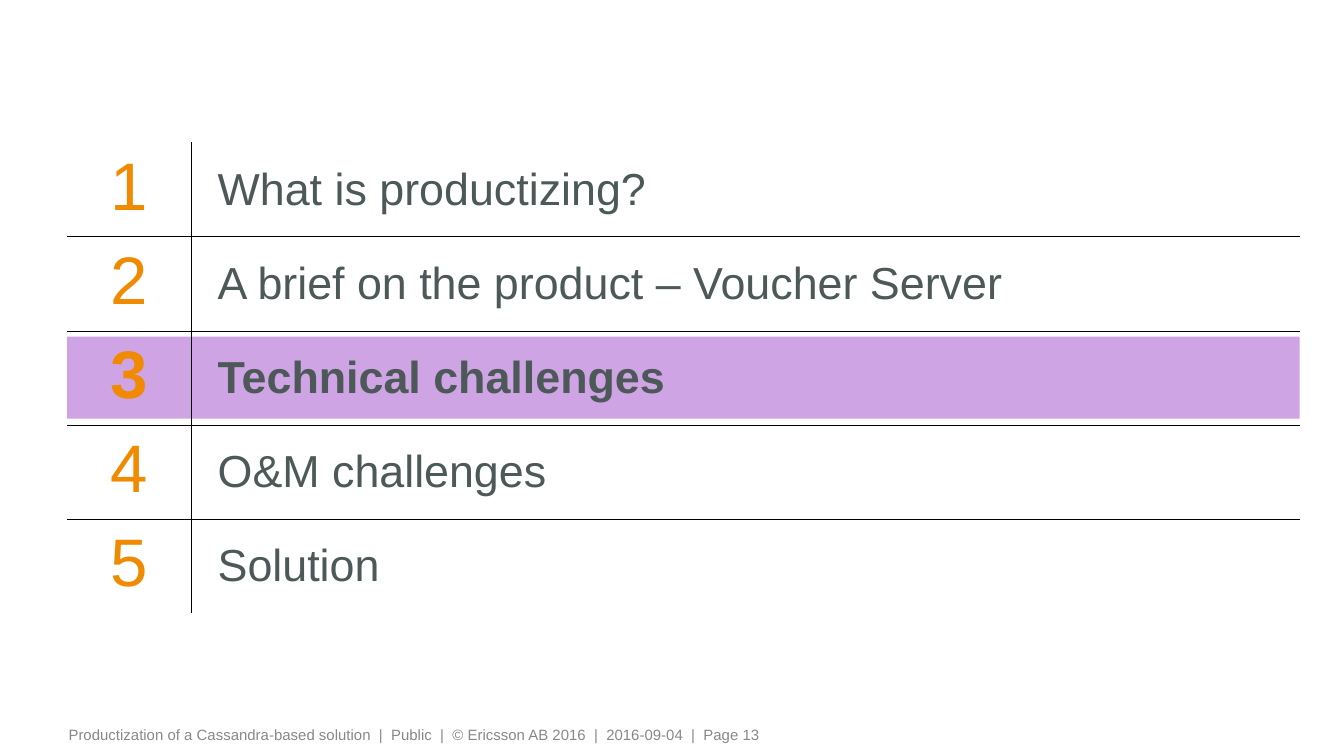
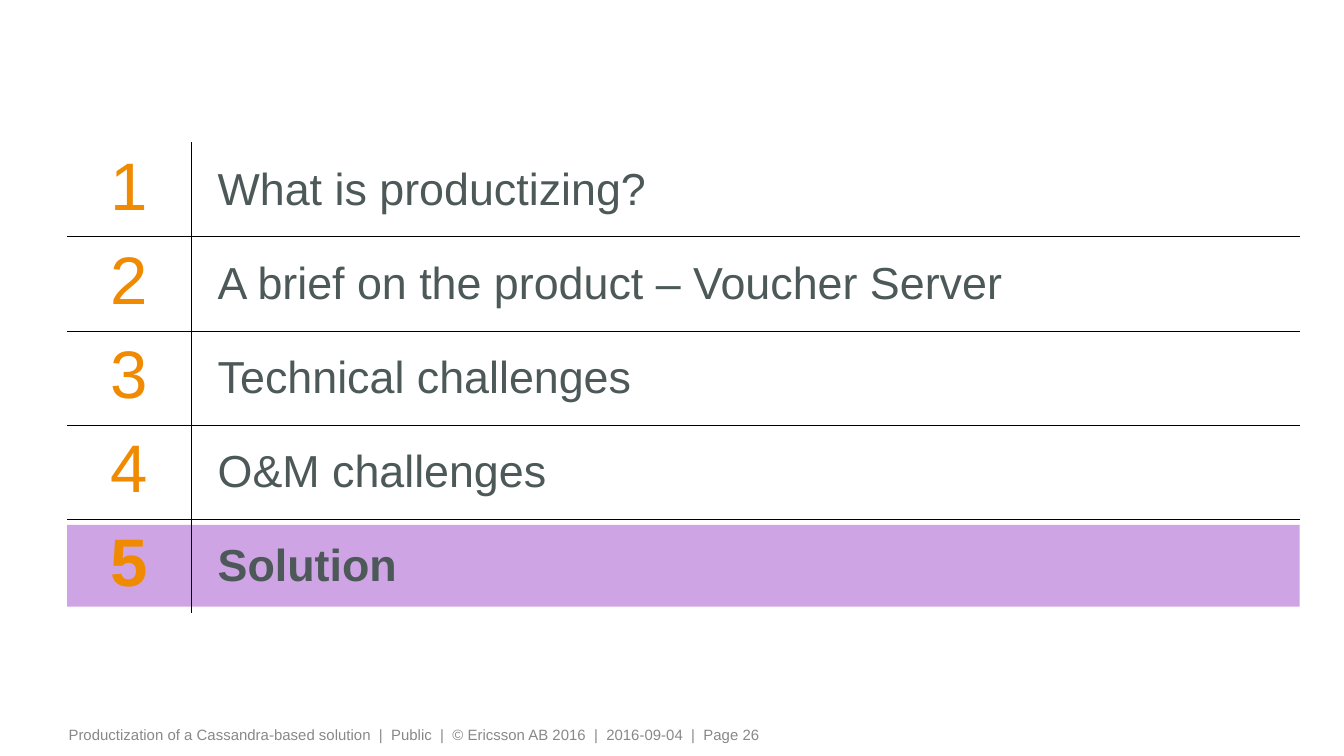
import pptx
import pptx.util
import pptx.dml.color
import pptx.enum.shapes
import pptx.enum.text
import pptx.oxml
import pptx.oxml.ns
from dataclasses import dataclass

# Content
TOPICS = [
    "What is productizing?",
    "A brief on the product – Voucher Server",
    "Technical challenges",
    "O&M challenges",
    "Solution",
]
AGENDAS = [  # current topic number, page number
    (3, 13),
    (5, 26),
]
FOOTER = ["Productization of a Cassandra-based solution", "Public",
          "© Ericsson AB 2016", "2016-09-04"]


@dataclass(frozen=True)
class Theme:
    font: str = "Arial"
    number: str = "F08A00"
    topic: str = "4C5958"
    highlight: str = "CFA4E4"
    footer: str = "87888A"
    rule: str = "000000"
    number_size: int = 36
    topic_size: int = 24
    footer_size: int = 8
    rule_width: float = 0.25


THEME = Theme()
Inches = pptx.util.Inches

# Agenda grid, in inches
SLIDE_W = 10
SLIDE_H = SLIDE_W * 9 / 16
LEFT, TOP = 0.5, 1.06
NUMBER_W, TOPIC_W = 0.92, 8.25
ROW_H, BAND_H = 0.7, 0.61
FOOTER_BOX = (0.43, 5.35, 8.09, 0.18)


def rgb(value):
    return pptx.dml.color.RGBColor.from_string(value)


def write(holder, text, size, color, bold=False, insets=(0.1, 0.05, 0.1, 0.05)):
    """Put one styled paragraph in a text box or table cell."""
    frame = holder.text_frame
    paragraph = frame.paragraphs[0]
    paragraph.text = text
    font = paragraph.font
    font.name, font.size, font.bold = THEME.font, pptx.util.Pt(size), bold
    font.color.rgb = rgb(color)
    margins = holder if hasattr(holder, "margin_left") else frame
    (margins.margin_left, margins.margin_top,
     margins.margin_right, margins.margin_bottom) = map(Inches, insets)
    return paragraph


def set_borders(cell, ruled):
    """Rule the named sides (of L, R, T, B) and clear the others."""
    properties = cell._tc.get_or_add_tcPr()
    width = pptx.util.Pt(THEME.rule_width)
    for place, side in enumerate("LRTB"):
        paint = (f'<a:solidFill><a:srgbClr val="{THEME.rule}"/></a:solidFill>'
                 if side in ruled else "<a:noFill/>")
        properties.insert(place, pptx.oxml.parse_xml(
            f'<a:ln{side} {pptx.oxml.ns.nsdecls("a")} w="{width}">{paint}</a:ln{side}>'))


def add_footer(slide, page):
    box = slide.shapes.add_textbox(*map(Inches, FOOTER_BOX))
    box.text_frame.word_wrap = True
    write(box, "  |  ".join(FOOTER + [f"Page {page}"]),
          THEME.footer_size, THEME.footer, insets=(0.08, 0.05, 0.08, 0.05))


def add_highlight(slide, current):
    top = TOP + (current - 1) * ROW_H + (ROW_H - BAND_H) / 2
    band = slide.shapes.add_shape(
        pptx.enum.shapes.MSO_SHAPE.RECTANGLE,
        *map(Inches, (LEFT, top, NUMBER_W + TOPIC_W, BAND_H)))
    band.shadow.inherit = False
    band.fill.solid()
    band.fill.fore_color.rgb = rgb(THEME.highlight)
    band.line.fill.background()


def add_agenda(slide, current):
    count = len(TOPICS)
    agenda = slide.shapes.add_table(
        count, 2, *map(Inches, (LEFT, TOP, NUMBER_W + TOPIC_W, count * ROW_H))).table
    agenda.first_row = agenda.horz_banding = False
    for column, width in zip(agenda.columns, (NUMBER_W, TOPIC_W)):
        column.width = Inches(width)

    for number, topic in enumerate(TOPICS, 1):
        row = number - 1
        agenda.rows[row].height = Inches(ROW_H)
        number_cell, topic_cell = agenda.cell(row, 0), agenda.cell(row, 1)
        bold = number == current
        label = write(number_cell, str(number), THEME.number_size, THEME.number, bold)
        label.alignment = pptx.enum.text.PP_ALIGN.CENTER
        write(topic_cell, topic, THEME.topic_size, THEME.topic, bold, (0.2, 0.05, 0.1, 0.05))
        topic_cell.vertical_anchor = pptx.enum.text.MSO_ANCHOR.MIDDLE

        # Rules run only between rows and between the two columns
        between = ("T" if number > 1 else "") + ("B" if number < count else "")
        for cell, inner_side in ((number_cell, "R"), (topic_cell, "L")):
            cell.fill.background()
            set_borders(cell, inner_side + between)


def main():
    deck = pptx.Presentation()
    deck.slide_width, deck.slide_height = Inches(SLIDE_W), Inches(SLIDE_H)
    for current, page in AGENDAS:
        slide = deck.slides.add_slide(deck.slide_layouts[6])
        add_footer(slide, page)
        add_highlight(slide, current)
        add_agenda(slide, current)
    deck.save("out.pptx")


if __name__ == "__main__":
    main()
